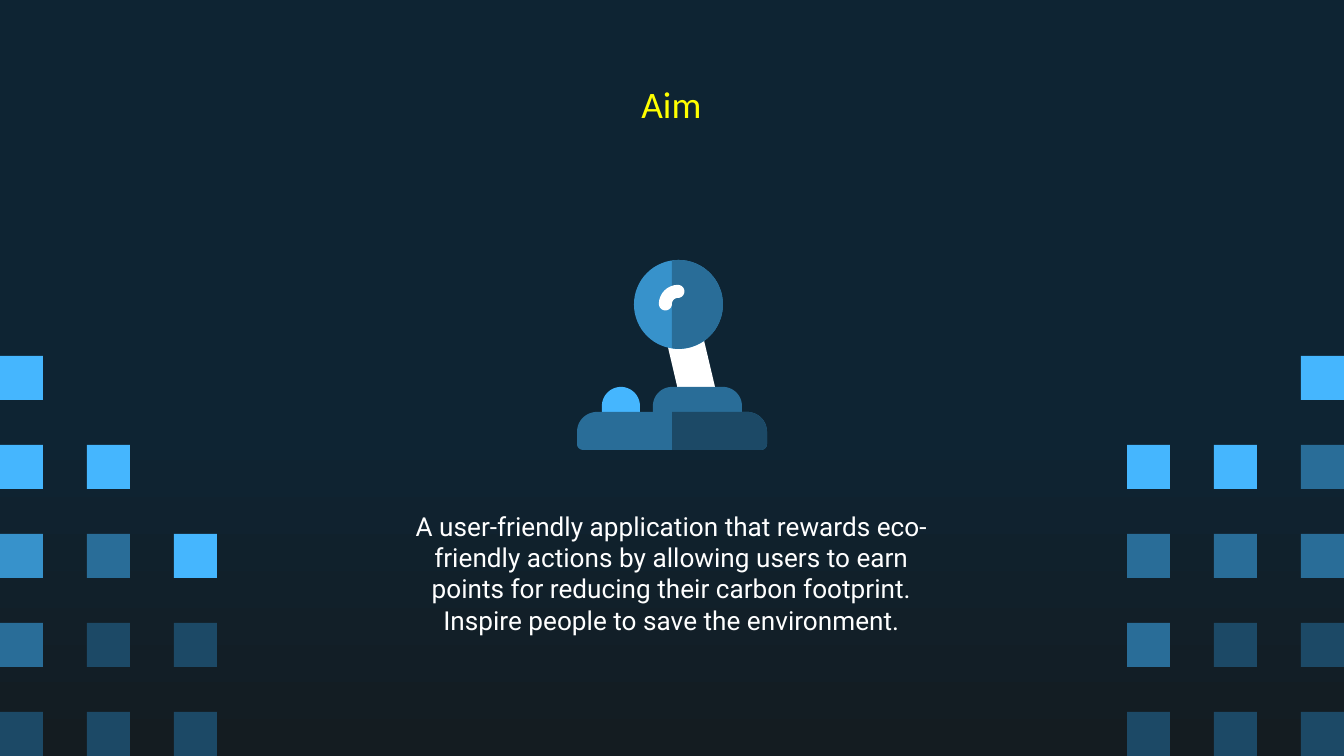
from dataclasses import dataclass
from math import cos, radians, sin

from pptx import Presentation
from pptx.dml.color import RGBColor
from pptx.enum.shapes import MSO_SHAPE as Shape
from pptx.enum.text import MSO_ANCHOR as Anchor, PP_ALIGN as Align
from pptx.util import Pt

TITLE = "Aim"
SUMMARY = (
    "A user-friendly application that rewards eco-friendly actions by "
    "allowing users to earn points for reducing their carbon footprint. "
    "Inspire people to save the environment."
)

LEFT_TILES = ["B..", "BB.", "SMB", "MDD", "DDD"]
RIGHT_TILES = ["..B", "BBM", "MMM", "MDD", "DDD"]


@dataclass(frozen=True)
class Theme:
    night: str = "0E2433"
    ground: str = "141C21"
    bright: str = "45B6FE"
    sky: str = "3792CB"
    mid: str = "296D98"
    deep: str = "1C4966"
    white: str = "FFFFFF"
    yellow: str = "FFFF00"
    title_font: str = "Calibri"
    body_font: str = "Roboto"
    title_size: int = 20
    body_size: int = 14


THEME = Theme()
TILE_COLORS = {"B": THEME.bright, "S": THEME.sky, "M": THEME.mid, "D": THEME.deep}

SCALE = 914400 / 134.4
WIDTH, HEIGHT = 1344, 756
TILE_W, TILE_H = 43, 44
PITCH_X, PITCH_Y = 87, 89
INSET = 13
MIDDLE = WIDTH // 2

STICK = [(696, 331), (672, 336), (667, 343), (679, 394), (684, 399),
         (710, 399), (716, 391), (703, 336)]


def px(length):
    return round(length * SCALE)


def paint(shape, color):
    shape.shadow.inherit = False
    shape.fill.solid()
    shape.fill.fore_color.rgb = RGBColor.from_string(color)
    shape.line.fill.background()


def arc(x, y, radius, start, end, steps=16):
    angles = [radians(start + (end - start) * i / steps) for i in range(steps + 1)]
    return [(x + radius * cos(a), y + radius * sin(a)) for a in angles]


def rounded(left, top, right, bottom, upper, lower):
    return (
        arc(left + upper, top + upper, upper, 180, 270)
        + arc(right - upper, top + upper, upper, 270, 360)
        + arc(right - lower, bottom - lower, lower, 0, 90)
        + arc(left + lower, bottom - lower, lower, 90, 180)
    )


def right_half(points):
    return [(max(x, MIDDLE), y) for x, y in points]


def gleam_outline(x, y, outer, inner):
    center, cap = (outer + inner) / 2, (outer - inner) / 2
    return (
        arc(x, y, outer, 180, 270)
        + arc(x, y - center, cap, -90, 90)
        + arc(x, y, inner, 270, 180)
        + arc(x - center, y, cap, 0, 180)
    )


def add_outline(shapes, points, color):
    corners = [(px(x), px(y)) for x, y in points]
    builder = shapes.build_freeform(*corners[0], scale=1.0)
    builder.add_line_segments(corners[1:], close=True)
    paint(builder.convert_to_shape(), color)


def add_tiles(slide, rows, left):
    top = HEIGHT - TILE_H - PITCH_Y * (len(rows) - 1)
    for r, row in enumerate(rows):
        for c, key in enumerate(row):
            if key in TILE_COLORS:
                tile = slide.shapes.add_shape(
                    Shape.RECTANGLE, px(left + c * PITCH_X), px(top + r * PITCH_Y),
                    px(TILE_W), px(TILE_H))
                paint(tile, TILE_COLORS[key])


def add_text(slide, box, words, font, size, color, anchor):
    frame = slide.shapes.add_textbox(*map(px, box)).text_frame
    frame.word_wrap = True
    frame.vertical_anchor = anchor
    frame.margin_left = frame.margin_right = px(INSET)
    frame.margin_top = frame.margin_bottom = px(INSET)
    paragraph = frame.paragraphs[0]
    paragraph.alignment = Align.CENTER
    run = paragraph.add_run()
    run.text = words
    run.font.name = font
    run.font.size = Pt(size)
    run.font.color.rgb = RGBColor.from_string(color)


def add_background(slide):
    fill = slide.background.fill
    fill.gradient()
    fill.gradient_angle = 270
    stops = [(0.56, THEME.night), (1.0, THEME.ground)]
    for stop, (position, color) in zip(fill.gradient_stops, stops):
        stop.position = position
        stop.color.rgb = RGBColor.from_string(color)


def add_joystick(slide):
    ball = rounded(634, 260, 723, 349, 44.5, 44.5)
    base = rounded(577, 412, 767, 450, 20, 6)
    parts = [
        (STICK, THEME.white),
        (ball, THEME.sky),
        (right_half(ball), THEME.mid),
        (rounded(653, 387, 742, 425, 19, 6), THEME.mid),
        (rounded(602, 387, 640, 425, 19, 6), THEME.bright),
        (gleam_outline(678, 304, 19, 6), THEME.white),
        (base, THEME.mid),
        (right_half(base), THEME.deep),
    ]
    joystick = slide.shapes.add_group_shape()
    for points, color in parts:
        add_outline(joystick.shapes, points, color)


def main():
    deck = Presentation()
    deck.slide_width, deck.slide_height = px(WIDTH), px(HEIGHT)
    slide = deck.slides.add_slide(deck.slide_layouts[6])
    add_background(slide)
    add_tiles(slide, RIGHT_TILES, WIDTH - TILE_W - 2 * PITCH_X)
    add_tiles(slide, LEFT_TILES, 0)
    add_text(slide, (105, 79, 1133, 49), TITLE, THEME.title_font,
             THEME.title_size, THEME.yellow, Anchor.MIDDLE)
    add_text(slide, (387, 497, 569, 133), SUMMARY, THEME.body_font,
             THEME.body_size, THEME.white, Anchor.TOP)
    add_joystick(slide)
    deck.save("out.pptx")


if __name__ == "__main__":
    main()
